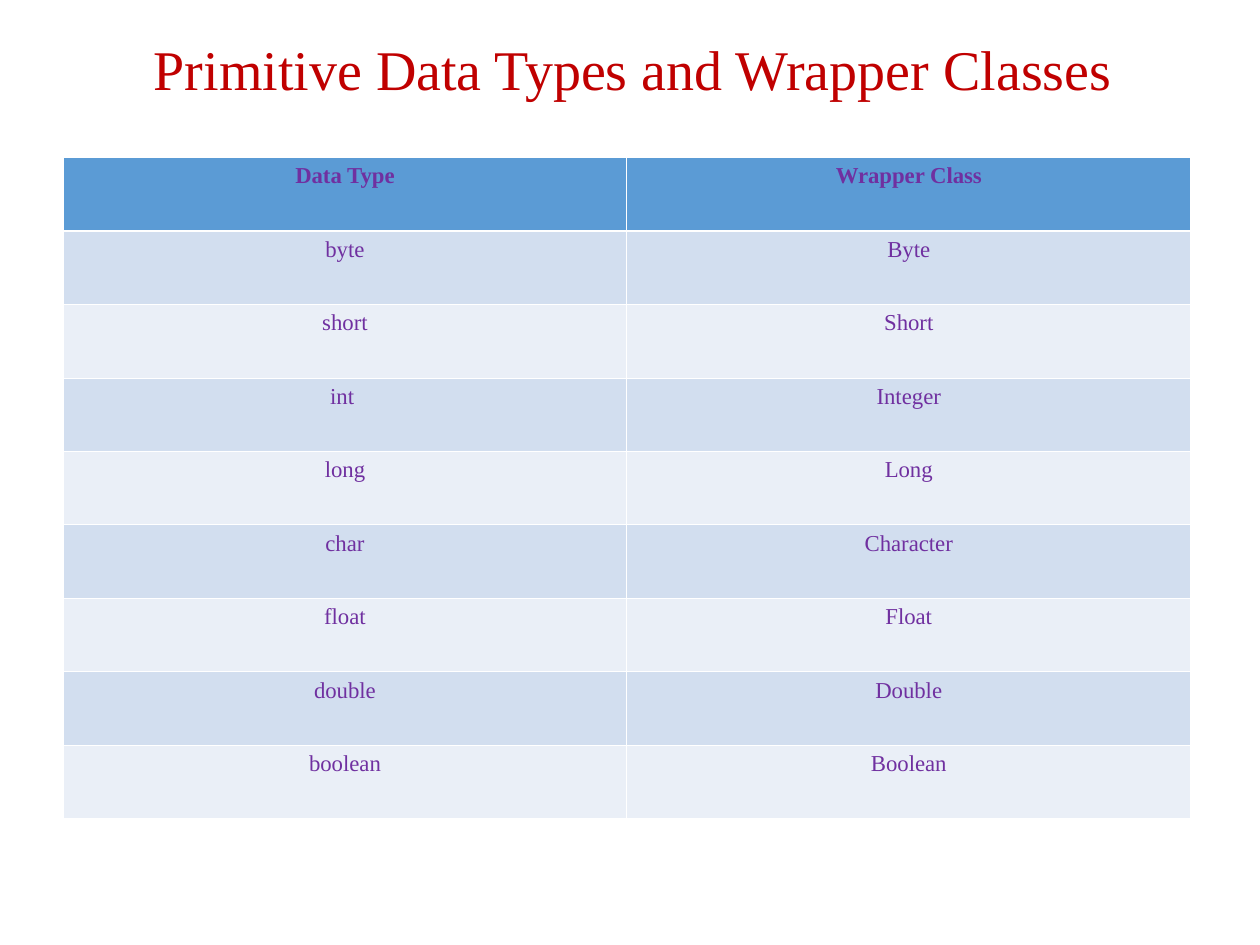
"""Build a slide that pairs primitive data types with their wrapper classes."""
from typing import NamedTuple

import lxml.etree
import pptx
import pptx.dml.color
import pptx.enum.text
import pptx.oxml.ns
import pptx.table
import pptx.text.text
import pptx.util
from pptx.util import Inches

RED = pptx.dml.color.RGBColor(0xC0, 0x00, 0x00)
PURPLE = pptx.dml.color.RGBColor(0x70, 0x30, 0xA0)
WHITE = pptx.dml.color.RGBColor(0xFF, 0xFF, 0xFF)
HEADER_BLUE = pptx.dml.color.RGBColor(0x5B, 0x9B, 0xD5)
BANDS = (
    pptx.dml.color.RGBColor(0xD2, 0xDE, 0xEF),
    pptx.dml.color.RGBColor(0xEA, 0xEF, 0xF7),
)
FONT_NAME = "Times New Roman"
THIN_BORDER = 0.45
HEADER_BORDER = 1.47


class TypePair(NamedTuple):
    primitive: str
    wrapper: str


TYPE_PAIRS = (
    TypePair("Data Type", "Wrapper Class"),
    TypePair("byte", "Byte"),
    TypePair("short", "Short"),
    TypePair("int ", "Integer"),
    TypePair("long", "Long"),
    TypePair("char", "Character"),
    TypePair("float", "Float"),
    TypePair("double", "Double"),
    TypePair("boolean", "Boolean"),
)


def add_centred_run(
    paragraph: pptx.text.text._Paragraph,
    text: str,
    size: float,
    color: pptx.dml.color.RGBColor,
    bold: bool = False,
) -> None:
    paragraph.alignment = pptx.enum.text.PP_ALIGN.CENTER
    run = paragraph.add_run()
    run.text = text
    run.font.name = FONT_NAME
    run.font.size = pptx.util.Pt(size)
    run.font.bold = bold
    run.font.color.rgb = color


def add_border(cell: pptx.table._Cell, side: str, width: float) -> None:
    qualify = pptx.oxml.ns.qn
    properties = cell._tc.get_or_add_tcPr()
    line = lxml.etree.SubElement(
        properties, qualify(f"a:ln{side}"), w=str(int(pptx.util.Pt(width)))
    )
    fill = lxml.etree.SubElement(line, qualify("a:solidFill"))
    lxml.etree.SubElement(fill, qualify("a:srgbClr"), val=str(WHITE))


def format_cell(cell: pptx.table._Cell, text: str, row_index: int) -> None:
    is_header = row_index == 0
    widths = {
        "L": THIN_BORDER,
        "R": THIN_BORDER,
        "T": HEADER_BORDER if row_index == 1 else THIN_BORDER,
        "B": HEADER_BORDER if is_header else THIN_BORDER,
    }
    for side, width in widths.items():
        add_border(cell, side, width)
    cell.fill.solid()
    cell.fill.fore_color.rgb = HEADER_BLUE if is_header else BANDS[(row_index - 1) % 2]
    add_centred_run(cell.text_frame.paragraphs[0], text, 13, PURPLE, is_header)


def add_title(slide: pptx.slide.Slide) -> None:
    title = slide.shapes.title
    title.left, title.top = Inches(0.55), Inches(0)
    title.width, title.height = Inches(8.95), Inches(1.15)
    title.text_frame.vertical_anchor = pptx.enum.text.MSO_ANCHOR.MIDDLE
    paragraph = title.text_frame.paragraphs[0]
    paragraph.line_spacing = 0.9
    add_centred_run(paragraph, "Primitive Data Types and Wrapper Classes", 32, RED)


def add_type_table(slide: pptx.slide.Slide) -> None:
    table = slide.shapes.add_table(
        len(TYPE_PAIRS), 2, Inches(0.5), Inches(1.25), Inches(8.95), Inches(5.25)
    ).table
    for row_index, pair in enumerate(TYPE_PAIRS):
        for column_index, text in enumerate(pair):
            format_cell(table.cell(row_index, column_index), text, row_index)


def main() -> None:
    presentation = pptx.Presentation()
    presentation.slide_width, presentation.slide_height = Inches(10), Inches(7.5)
    slide = presentation.slides.add_slide(presentation.slide_layouts[5])
    add_title(slide)
    add_type_table(slide)
    presentation.save("out.pptx")


if __name__ == "__main__":
    main()
